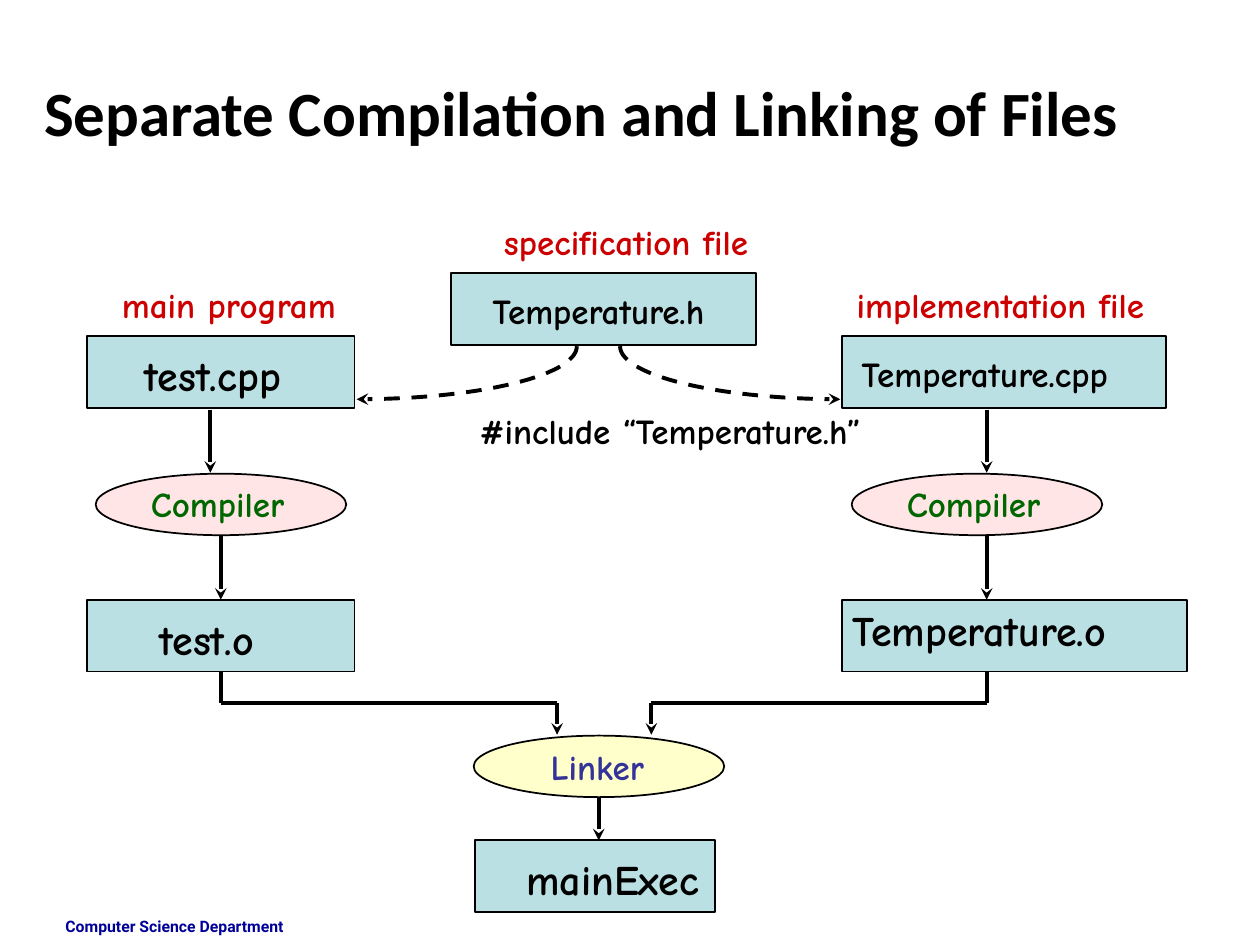
import math

import pptx
import pptx.dml.color
import pptx.enum.dml
import pptx.enum.shapes
import pptx.enum.text
import pptx.oxml
import pptx.oxml.ns
import pptx.util

Cm = pptx.util.Cm
Pt = pptx.util.Pt

COLORS = {
    "black": "000000",
    "file": "BBE0E3",
    "compiler": "FFE5E5",
    "linker": "FFFFCC",
    "caption": "CC0000",
    "compiler text": "006600",
    "linker text": "333399",
    "footer": "000099",
}
TOP, BOTTOM = 0, 2


def color(name):
    return pptx.dml.color.RGBColor.from_string(COLORS[name])


class Diagram:
    """The style of the flow diagram and the slide it is drawn on."""

    font_name = "Comic Neue"
    file_height = 1.45
    tool_size = (5.05, 1.24)
    outline_width = 1
    arrow_width = 2.25

    def __init__(self, slide):
        self.slide = slide

    def text(self, text, left, top, width, height, size=20, color_name="black",
             font_name=font_name, wrap=False, fit=True,
             anchor=pptx.enum.text.MSO_ANCHOR.TOP):
        box = self.slide.shapes.add_textbox(Cm(left), Cm(top), Cm(width), Cm(height))
        frame = box.text_frame
        frame.word_wrap = wrap
        frame.vertical_anchor = anchor
        if fit:
            frame.auto_size = pptx.enum.text.MSO_AUTO_SIZE.SHAPE_TO_FIT_TEXT
        frame.text = text
        for run in frame.paragraphs[0].runs:
            run.font.name = font_name
            run.font.size = Pt(size)
            run.font.bold = True
            run.font.color.rgb = color(color_name)

    def shape(self, kind, left, top, width, height, fill):
        shape = self.slide.shapes.add_shape(kind, Cm(left), Cm(top), Cm(width), Cm(height))
        shape.shadow.inherit = False
        shape.fill.solid()
        shape.fill.fore_color.rgb = color(fill)
        shape.line.color.rgb = color("black")
        shape.line.width = Pt(self.outline_width)
        return shape

    def file(self, left, top, width):
        kind = pptx.enum.shapes.MSO_SHAPE.RECTANGLE
        return self.shape(kind, left, top, width, self.file_height, "file")

    def tool(self, left, top, fill):
        kind = pptx.enum.shapes.MSO_SHAPE.OVAL
        return self.shape(kind, left, top, *self.tool_size, fill)

    def style_arrow(self, shape, arrow):
        shape.line.color.rgb = color("black")
        shape.line.width = Pt(self.arrow_width)
        if arrow:
            tail = pptx.oxml.parse_xml(
                f'<a:tailEnd {pptx.oxml.ns.nsdecls("a")} type="stealth"/>')
            shape.line._get_or_add_ln().append(tail)

    def line(self, start, end, arrow=True, start_file=None, end_file=None):
        """Draw a straight line, joined to the bottom or top of a file if given."""
        connector = self.slide.shapes.add_connector(
            pptx.enum.shapes.MSO_CONNECTOR.STRAIGHT, *map(Cm, start + end))
        if start_file is not None:
            connector.begin_connect(start_file, BOTTOM)
        if end_file is not None:
            connector.end_connect(end_file, TOP)
        self.style_arrow(connector, arrow)
        connector._element.spPr.append(
            pptx.oxml.parse_xml(f'<a:effectLst {pptx.oxml.ns.nsdecls("a")}/>'))

    def include_arrow(self, start, end, steps=30):
        """Draw a dashed quarter ellipse that leaves its start vertically."""
        width, height = end[0] - start[0], end[1] - start[1]
        angles = [math.pi / 2 * step / steps for step in range(steps + 1)]
        points = [(Cm(start[0] + width * (1 - math.cos(angle))),
                   Cm(start[1] + height * math.sin(angle))) for angle in angles]
        builder = self.slide.shapes.build_freeform(*points[0])
        builder.add_line_segments(points[1:], close=False)
        curve = builder.convert_to_shape()
        curve.shadow.inherit = False
        curve.fill.background()
        curve.line.dash_style = pptx.enum.dml.MSO_LINE.DASH
        self.style_arrow(curve, arrow=True)


def main():
    presentation = pptx.Presentation()
    presentation.slide_width = Cm(25.4)
    presentation.slide_height = Cm(19.05)
    diagram = Diagram(presentation.slides.add_slide(presentation.slide_layouts[6]))

    diagram.text("Computer Science Department", 1.07, 18.36, 5.92, 0.69, 9, "footer",
                 "Roboto", wrap=True, fit=False)
    diagram.text("Separate Compilation and Linking of Files", 0.64, 1.07, 24.13, 2.06, 36,
                 font_name="Calibri", wrap=True, fit=False,
                 anchor=pptx.enum.text.MSO_ANCHOR.BOTTOM)

    left_column, right_column = 1.75, 16.97
    source_top, object_top, compiler_top = 6.78, 12.09, 9.55
    diagram.file(9.09, 5.51, 6.15)
    diagram.file(left_column, source_top, 5.4)
    diagram.file(right_column, source_top, 6.53)
    test_object = diagram.file(left_column, object_top, 5.4)
    diagram.file(right_column, object_top, 6.96)
    diagram.file(9.58, 16.94, 4.83)

    diagram.tool(1.93, compiler_top, "compiler")
    diagram.tool(17.17, compiler_top, "compiler")
    diagram.tool(9.55, 14.83, "linker")

    # Each branch: source arrow x, object arrow x, linker arrow x, object file to join
    branches = [(4.24, 4.45, 11.23, test_object), (19.89, 19.89, 13.13, None)]
    object_bottom = object_top + diagram.file_height
    for source_x, object_x, linker_x, object_file in branches:
        diagram.line((source_x, 8.26), (source_x, 9.53))
        diagram.line((object_x, 10.8), (object_x, object_top), end_file=object_file)
        diagram.line((object_x, object_bottom), (object_x, 14.17), arrow=False,
                     start_file=object_file)
        diagram.line((object_x, 14.17), (linker_x, 14.17), arrow=False)
        diagram.line((linker_x, 14.17), (linker_x, 14.81))
    diagram.line((12.07, 16.08), (12.07, 16.94))

    diagram.include_arrow((12.5, 6.98), (16.94, 8.05))
    diagram.include_arrow((11.63, 6.98), (7.19, 8.05))

    small_labels = [
        ("Temperature.h", 9.68, 5.72, 4.88, "black"),
        ("Temperature.cpp", 17.12, 6.99, 5.59, "black"),
        ("Compiler", 2.79, 9.6, 3.2, "compiler text"),
        ("Compiler", 18.03, 9.6, 3.2, "compiler text"),
        ("Linker", 10.85, 14.91, 2.41, "linker text"),
        ("#include “Temperature.h”", 9.42, 8.13, 8.51, "black"),
        ("implementation file", 17.02, 5.59, 6.32, "caption"),
        ("specification file", 9.91, 4.32, 5.44, "caption"),
        ("main program", 2.21, 5.59, 4.85, "caption"),
    ]
    for text, left, top, width, color_name in small_labels:
        diagram.text(text, left, top, width, 1.09, color_name=color_name)

    large_labels = [
        ("test.cpp", 2.67, 6.93, 3.3, False),
        ("test.o", 2.97, 12.24, 2.44, False),
        ("mainExec", 10.36, 17.09, 3.99, False),
        ("Temperature.o", 16.94, 12.07, 7.42, True),
    ]
    for text, left, top, width, wrap in large_labels:
        diagram.text(text, left, top, width, 1.27, size=24, wrap=wrap)

    presentation.save("out.pptx")


if __name__ == "__main__":
    main()
